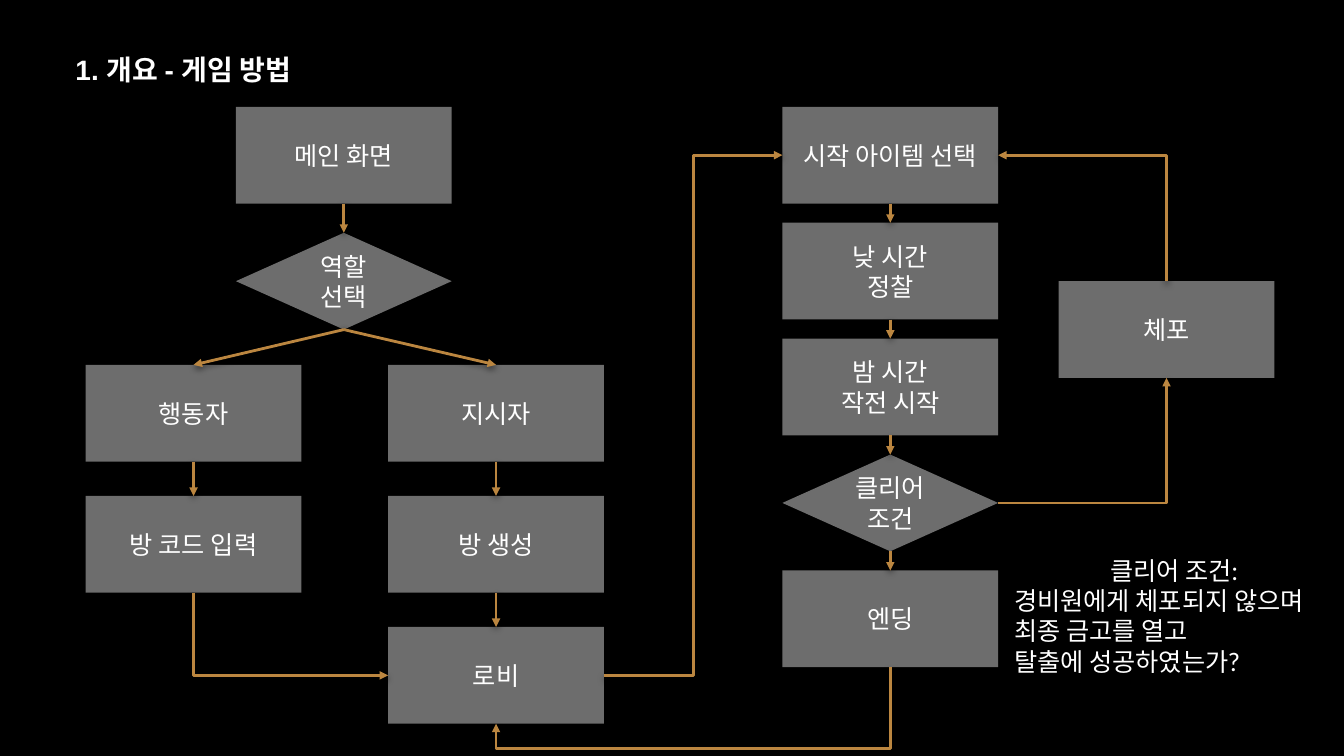
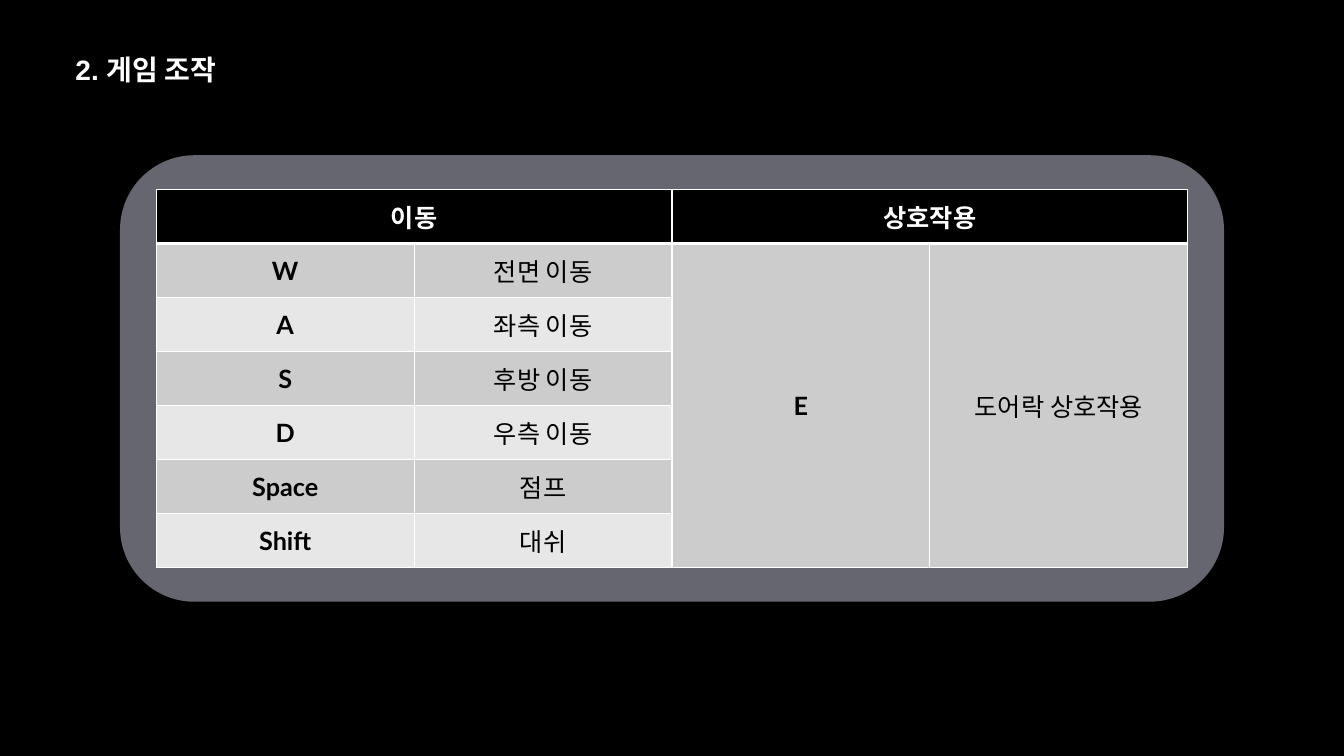
from lxml import etree
from pptx import Presentation
from pptx.dml.color import RGBColor
from pptx.enum.shapes import MSO_CONNECTOR, MSO_SHAPE
from pptx.enum.text import MSO_ANCHOR, PP_ALIGN
from pptx.oxml import parse_xml
from pptx.oxml.ns import nsdecls, qn
from pptx.util import Inches, Pt

RECT, DIAMOND, ROUND = MSO_SHAPE.RECTANGLE, MSO_SHAPE.DIAMOND, MSO_SHAPE.ROUNDED_RECTANGLE
STRAIGHT, ELBOW = MSO_CONNECTOR.STRAIGHT, MSO_CONNECTOR.ELBOW
LEFT, CENTER, MIDDLE = PP_ALIGN.LEFT, PP_ALIGN.CENTER, MSO_ANCHOR.MIDDLE

BLACK, WHITE, GREY, GOLD = "000000", "FFFFFF", "6D6D6D", "BB8640"
PANEL, DARK, LIGHT = "666671", "CCCCCC", "E7E7E7"
HEAD, BODY = "Arial", "Lato"
BOX_W, BOX_H = 2.14, 0.96
TOP, SIDE_L, BOTTOM, SIDE_R = range(4)


def color(code):
    return RGBColor.from_string(code)


def write(frame, text, font=BODY, size=18, ink=WHITE, bold=False, align=CENTER):
    frame.text = text
    frame.word_wrap = True
    for para in frame.paragraphs:
        para.alignment = align
        for run in para.runs:
            run.font.name, run.font.size, run.font.bold = font, Pt(size), bold
            run.font.color.rgb = color(ink)


def add_text(slide, box, text, **style):
    frame = slide.shapes.add_textbox(*map(Inches, box)).text_frame
    write(frame, text, **style)
    return frame


def add_box(slide, kind, box, fill):
    shape = slide.shapes.add_shape(kind, *map(Inches, box))
    shape.shadow.inherit = False
    shape.fill.solid()
    shape.fill.fore_color.rgb = color(fill)
    shape.line.fill.background()
    return shape


def new_slide(deck, title, width):
    slide = deck.slides.add_slide(deck.slide_layouts[6])
    slide.background.fill.solid()
    slide.background.fill.fore_color.rgb = color(BLACK)
    add_text(slide, (0.65, 0.47, width, 0.44), title,
             font=HEAD, size=20, bold=True, align=LEFT)
    return slide


# Arrows
def style_arrow(line):
    line.line.color.rgb = color(GOLD)
    line.line.width = Pt(2)
    etree.SubElement(line.line._get_or_add_ln(), qn("a:tailEnd"), type="triangle")
    line._element.spPr.append(parse_xml(
        f'<a:effectLst {nsdecls("a")}><a:outerShdw blurRad="63500" dist="25400" '
        f'dir="5400000" rotWithShape="0"><a:srgbClr val="{BLACK}">'
        '<a:alpha val="60000"/></a:srgbClr></a:outerShdw></a:effectLst>'))


def link(slide, start, end):
    """Straight arrow from the bottom of one shape to the top of the next."""
    line = slide.shapes.add_connector(STRAIGHT, 0, 0, 0, 0)
    line.begin_connect(start, BOTTOM)
    line.end_connect(end, TOP)
    style_arrow(line)


def port(shape, side):
    x = shape.left + shape.width * {SIDE_L: 0, SIDE_R: 1}.get(side, 0.5)
    y = shape.top + shape.height * {TOP: 0, BOTTOM: 1}.get(side, 0.5)
    return x, y


def bend(slide, start, out, end, into, kind="bentConnector2", adj=None):
    """Elbow arrow; one that leaves vertically is a turned elbow."""
    (x1, y1), (x2, y2) = port(start, out), port(end, into)
    turn = 0
    if out in (TOP, BOTTOM):
        turn = 90 if y2 > y1 else 270
        mid_x, mid_y = (x1 + x2) / 2, (y1 + y2) / 2
        half_w, half_h = abs(y2 - y1) / 2, abs(x2 - x1) / 2
        if (x2 > x1) == (y2 > y1):
            half_h = -half_h
        x1, x2 = mid_x - half_w, mid_x + half_w
        y1, y2 = mid_y - half_h, mid_y + half_h
    line = slide.shapes.add_connector(ELBOW, *map(int, (x1, y1, x2, y2)))
    props = line._element.spPr
    if turn:
        props.find(qn("a:xfrm")).set("rot", str(turn * 60000))
    shape = props.find(qn("a:prstGeom"))
    shape.set("prst", kind)
    if adj:
        etree.SubElement(shape.find(qn("a:avLst")), qn("a:gd"),
                         name="adj1", fmla=f"val {adj}")
    style_arrow(line)


# Flow chart
def add_step(slide, x, y, text, kind=RECT):
    shape = add_box(slide, kind, (x, y, BOX_W, BOX_H), GREY)
    shape.text_frame.vertical_anchor = MIDDLE
    write(shape.text_frame, text)
    return shape


def add_lobby(slide, x, y):
    """Steps from the main screen to the lobby, which is returned."""
    main = add_step(slide, x + 1.49, y, "메인 화면")
    role = add_step(slide, x + 1.49, y + 1.25, "역할 선택", DIAMOND)
    rows = [y + 2.56 + 1.3 * i for i in range(3)]
    agent, code = [add_step(slide, x, row, text)
                   for row, text in zip(rows, ("행동자", "방 코드 입력"))]
    guide, room, lobby = [add_step(slide, x + 3, row, text)
                          for row, text in zip(rows, ("지시자", "방 생성", "로비"))]
    for pair in ((main, role), (role, guide), (role, agent),
                 (guide, room), (agent, code), (room, lobby)):
        link(slide, *pair)
    bend(slide, code, BOTTOM, lobby, SIDE_L)
    return lobby


def add_game(slide, x, y):
    """Steps of one round; returns the first and the last."""
    steps = (("시작 아이템 선택", RECT), ("낮 시간\n정찰", RECT),
             ("밤 시간\n작전 시작", RECT), ("클리어 조건", DIAMOND), ("엔딩", RECT))
    shapes = [add_step(slide, x, y + 1.15 * i, text, kind)
              for i, (text, kind) in enumerate(steps)]
    arrest = add_step(slide, x + 2.74, y + 1.73, "체포")
    for pair in zip(shapes, shapes[1:]):
        link(slide, *pair)
    bend(slide, shapes[3], SIDE_R, arrest, BOTTOM)
    bend(slide, arrest, TOP, shapes[0], SIDE_R)
    note = add_text(slide, (x + 2.2, y + 4.4, 3.37, 1.31),
                    "클리어 조건:\n경비원에게 체포되지 않으며 최종 금고를 열고\n"
                    "탈출에 성공하였는가?", align=LEFT)
    note.paragraphs[0].alignment = CENTER
    return shapes[0], shapes[-1]


def flow_slide(deck):
    slide = new_slide(deck, "1. 개요 - 게임 방법", 2.75)
    lobby = add_lobby(slide, 0.85, 1.06)
    first, last = add_game(slide, 7.76, 1.06)
    bend(slide, lobby, SIDE_R, first, SIDE_L, "bentConnector3")
    bend(slide, last, BOTTOM, lobby, TOP + 2, "bentConnector3", 144600)


# Key table
def set_edges(cell, low):
    props = cell._tc.get_or_add_tcPr()
    for i, (side, width) in enumerate((("L", 1), ("R", 1), ("T", 1), ("B", low))):
        props.insert(i, parse_xml(
            f'<a:ln{side} {nsdecls("a")} w="{Pt(width)}"><a:solidFill>'
            f'<a:srgbClr val="{WHITE}"/></a:solidFill></a:ln{side}>'))


def add_keys(slide, x, y, width, height):
    rows = [("이동", "", "상호작용", ""), ("W", "전면 이동", "E", "도어락 상호작용"),
            ("A", "좌측 이동", "", ""), ("S", "후방 이동", "", ""),
            ("D", "우측 이동", "", ""), ("Space", "점프", "", ""),
            ("Shift", "대쉬", "", "")]
    table = slide.shapes.add_table(len(rows), 4, *map(Inches, (x, y, width, height))).table
    for r, row in enumerate(rows):
        for c, text in enumerate(row):
            cell = table.cell(r, c)
            cell.vertical_anchor = MIDDLE
            cell.fill.solid()
            fill = BLACK if r == 0 else DARK if r % 2 or c > 1 else LIGHT
            cell.fill.fore_color.rgb = color(fill)
            set_edges(cell, 1 if r else 3)
            write(cell.text_frame, text, ink=BLACK if r else WHITE,
                  bold=r == 0 or c % 2 == 0)
    for c in (0, 2):
        table.cell(0, c).merge(table.cell(0, c + 1))
    for c in (2, 3):
        table.cell(1, c).merge(table.cell(len(rows) - 1, c))


def key_slide(deck):
    slide = new_slide(deck, "2. 게임 조작", 2.53)
    x, y, width, height = panel = 1.19, 1.54, 10.95, 4.43
    add_box(slide, ROUND, panel, PANEL)
    add_keys(slide, x + 0.36, y + 0.34, width - 0.72, height - 0.68)


def main():
    deck = Presentation()
    deck.slide_width, deck.slide_height = Inches(13.33), Inches(7.5)
    flow_slide(deck)
    key_slide(deck)
    deck.save("out.pptx")


if __name__ == "__main__":
    main()
